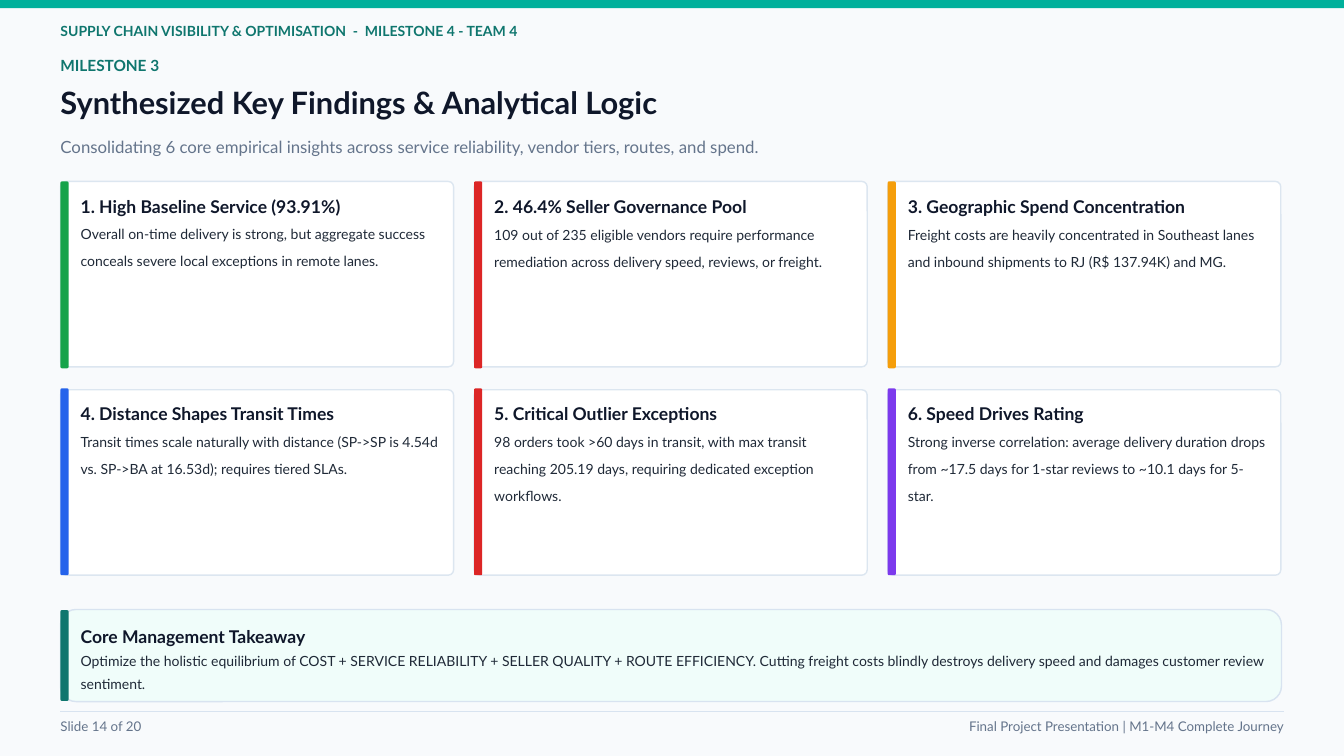
"""Build the slide of six synthesized key findings and the management takeaway."""
import pptx
import pptx.util
import pptx.dml.color
import pptx.enum.shapes
import pptx.enum.text
import pptx.oxml.ns
import lxml.etree

Inches = pptx.util.Inches
Pt = pptx.util.Pt
RGBColor = pptx.dml.color.RGBColor
SHAPE = pptx.enum.shapes.MSO_SHAPE
ALIGN = pptx.enum.text.PP_ALIGN

FONT = "Lato"
BACKGROUND = RGBColor(0xF8, 0xFA, 0xFC)
WHITE = RGBColor(0xFF, 0xFF, 0xFF)
MINT = RGBColor(0xF0, 0xFD, 0xFA)
TEAL = RGBColor(0x0F, 0x76, 0x6E)
BRIGHT_TEAL = RGBColor(0x00, 0xB0, 0x9B)
INK = RGBColor(0x0F, 0x17, 0x2A)
BODY = RGBColor(0x1F, 0x29, 0x37)
SLATE = RGBColor(0x64, 0x74, 0x8B)
CARD_EDGE = RGBColor(0xDC, 0xE6, 0xF0)
RULE = RGBColor(0xD8, 0xE3, 0xF0)
GREEN = RGBColor(0x16, 0xA3, 0x4A)
RED = RGBColor(0xDC, 0x26, 0x26)
AMBER = RGBColor(0xF5, 0x9E, 0x0B)
BLUE = RGBColor(0x25, 0x63, 0xEB)
VIOLET = RGBColor(0x7C, 0x3A, 0xED)

LEFT = 0.9
CARD_WIDTH, CARD_HEIGHT = 5.85, 2.76
COLUMN_STEP = 6.155
BAR_WIDTH = 0.12
TEXT_INSET = 0.3

TITLE = "Synthesized Key Findings & Analytical Logic"
LABELS = [
    ("SUPPLY CHAIN VISIBILITY & OPTIMISATION  -  MILESTONE 4 - TEAM 4",
     (LEFT, 0.33, 12, 0.45), 15, 18, TEAL, True, ALIGN.LEFT),
    ("MILESTONE 3", (LEFT, 0.83, 12, 0.38), 16.5, 19.8, TEAL, True, ALIGN.LEFT),
    ("Consolidating 6 core empirical insights across service reliability, "
     "vendor tiers, routes, and spend.",
     (LEFT, 2.03, 18, 0.53), 18, 21.6, SLATE, False, ALIGN.LEFT),
    ("Slide 14 of 20", (LEFT, 10.69, 6, 0.38), 14.3, 17.1, SLATE, False, ALIGN.LEFT),
    ("Final Project Presentation | M1-M4 Complete Journey",
     (13.11, 10.69, 6, 0.38), 14.3, 17.1, SLATE, False, ALIGN.RIGHT),
]
FINDINGS = [
    ("1. High Baseline Service (93.91%)",
     "Overall on-time delivery is strong, but aggregate success conceals severe "
     "local exceptions in remote lanes.", GREEN, 28.1),
    ("2. 46.4% Seller Governance Pool",
     "109 out of 235 eligible vendors require performance remediation across "
     "delivery speed, reviews, or freight.", RED, 28.8),
    ("3. Geographic Spend Concentration",
     "Freight costs are heavily concentrated in Southeast lanes and inbound "
     "shipments to RJ (R$ 137.94K) and MG.", AMBER, 28.7),
    ("4. Distance Shapes Transit Times",
     "Transit times scale naturally with distance (SP->SP is 4.54d vs. SP->BA at "
     "16.53d); requires tiered SLAs.", BLUE, 28.7),
    ("5. Critical Outlier Exceptions",
     "98 orders took >60 days in transit, with max transit reaching 205.19 days, "
     "requiring dedicated exception workflows.", RED, 29),
    ("6. Speed Drives Rating",
     "Strong inverse correlation: average delivery duration drops from ~17.5 days "
     "for 1-star reviews to ~10.1 days for 5-star.", VIOLET, 28.8),
]
TAKEAWAY = (
    "Core Management Takeaway",
    "Optimize the holistic equilibrium of COST + SERVICE RELIABILITY + SELLER "
    "QUALITY + ROUTE EFFICIENCY. Cutting freight costs blindly destroys delivery "
    "speed and damages customer review sentiment.")


def place(shape, area):
    shape.left, shape.top, shape.width, shape.height = map(Inches, area)


def add_panel(page, area, fill, edge=None, radius=0):
    kind = SHAPE.ROUNDED_RECTANGLE if radius else SHAPE.RECTANGLE
    panel = page.shapes.add_shape(kind, *map(Inches, area))
    panel.shadow.inherit = False
    if radius:
        panel.adjustments[0] = radius / min(area[2:])
    panel.fill.solid()
    panel.fill.fore_color.rgb = fill
    if edge is None:
        panel.line.fill.background()
    else:
        panel.line.color.rgb = edge
        panel.line.width = Pt(1.5)


def write(box, lines, align=ALIGN.LEFT):
    frame = box.text_frame
    frame.word_wrap = True
    frame.auto_size = pptx.enum.text.MSO_AUTO_SIZE.NONE
    frame.vertical_anchor = pptx.enum.text.MSO_ANCHOR.TOP
    frame.margin_left = frame.margin_top = frame.margin_right = frame.margin_bottom = 0
    frame.text = "\n".join(line[0] for line in lines)
    for para, (_, size, spacing, color, bold) in zip(frame.paragraphs, lines):
        para.alignment = align
        para.line_spacing = Pt(spacing)
        for span in para.runs:
            span.font.name = FONT
            span.font.size = Pt(size)
            span.font.bold = bold
            span.font.color.rgb = color


def add_text(page, area, lines, align=ALIGN.LEFT):
    write(page.shapes.add_textbox(*map(Inches, area)), lines, align)


def add_note(page, area, heading, detail, spacings):
    add_text(page, area, [(heading, 18.8, spacings[0], INK, True),
                          (detail, 15, spacings[1], BODY, False)])


def add_finding(page, index, heading, detail, accent, spacing):
    row, column = divmod(index, 3)
    left = LEFT + column * COLUMN_STEP
    bar_top = 2.7 + row * 3.08
    add_panel(page, (left, 2.7 + row * 3.1, CARD_WIDTH, CARD_HEIGHT), WHITE, CARD_EDGE, 0.08)
    add_panel(page, (left, bar_top, BAR_WIDTH, 2.78), accent, radius=0.02)
    add_note(page, (left + TEXT_INSET, bar_top + 0.21, 5.33, 1.03), heading, detail,
             (22.5, spacing))


def add_rule(page):
    rule = page.shapes.add_connector(pptx.enum.shapes.MSO_CONNECTOR.STRAIGHT,
                                     *map(Inches, (LEFT, 10.59, 19.11, 10.59)))
    rule.line.color.rgb = RULE
    rule.line.width = Pt(1.5)
    properties = rule._element.find(pptx.oxml.ns.qn("p:spPr"))
    lxml.etree.SubElement(properties, pptx.oxml.ns.qn("a:effectLst"))


def main():
    deck = pptx.Presentation()
    deck.slide_width, deck.slide_height = Inches(20), Inches(11.25)
    page = deck.slides.add_slide(deck.slide_layouts[5])
    page.background.fill.solid()
    page.background.fill.fore_color.rgb = BACKGROUND

    add_panel(page, (0, 0, 20, 0.12), BRIGHT_TEAL)
    place(page.shapes.title, (LEFT, 1.24, 18, 0.74))
    write(page.shapes.title, [(TITLE, 33, 39.6, INK, True)])
    for text, area, size, spacing, color, bold, align in LABELS:
        add_text(page, area, [(text, size, spacing, color, bold)], align)

    for index, finding in enumerate(FINDINGS):
        add_finding(page, index, *finding)

    add_panel(page, (LEFT, 9.07, 18.17, 1.37), MINT, RULE, 0.23)
    add_panel(page, (LEFT, 9.08, BAR_WIDTH, 1.35), TEAL, radius=0.02)
    add_note(page, (LEFT + TEXT_INSET, 9.21, 17.64, 1.07), *TAKEAWAY, (30.2, 24.2))
    add_rule(page)
    deck.save("out.pptx")


if __name__ == "__main__":
    main()
